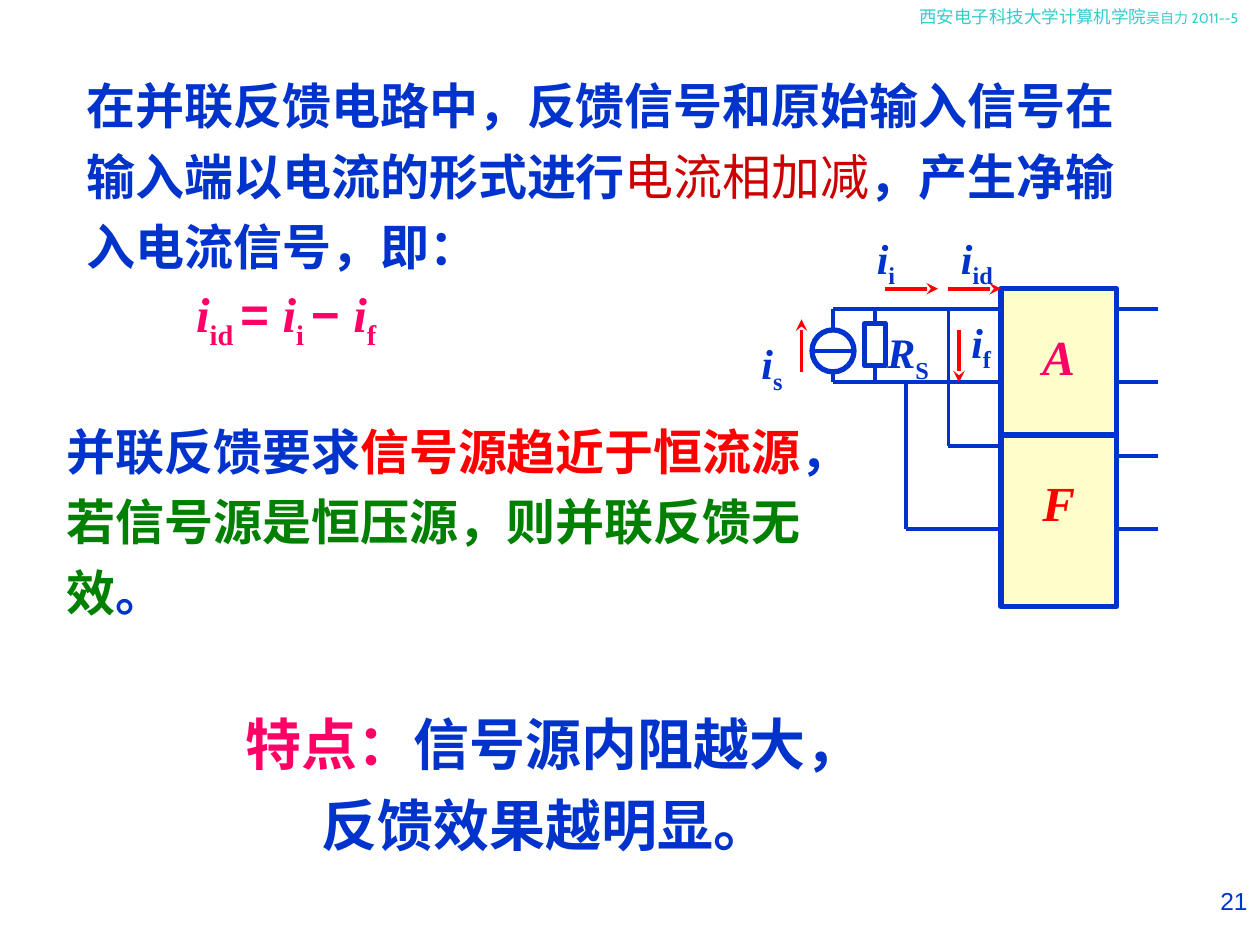
from dataclasses import dataclass

import lxml.etree
import pptx
import pptx.dml.color
import pptx.enum.shapes
import pptx.enum.text
import pptx.oxml.ns
import pptx.util

Pt = pptx.util.Pt
Align = pptx.enum.text.PP_ALIGN
Anchor = pptx.enum.text.MSO_ANCHOR
Kind = pptx.enum.shapes.MSO_SHAPE
qn = pptx.oxml.ns.qn

BLUE, RED, PINK, GREEN = "0033CC", "FF0000", "FF0066", "008000"
CREAM, WHITE = "FFFFCC", "FFFFFF"
ROMAN, SANS, HAN = "Times New Roman", "Arial", "Noto Sans CJK SC"


@dataclass
class Span:
    text: str
    size: float
    color: str = BLUE
    font: str = ROMAN
    bold: bool = True
    slant: bool = False
    sub: bool = False


@dataclass
class Box:
    left: float
    top: float
    width: float
    height: float


@dataclass
class Wire:
    x1: float
    y1: float
    x2: float
    y2: float


@dataclass
class Label:
    name: str
    sub: str
    left: float
    top: float
    width: float = 42


def rgb(code: str) -> pptx.dml.color.RGBColor:
    return pptx.dml.color.RGBColor.from_string(code)


def place(box: Box) -> tuple:
    return Pt(box.left), Pt(box.top), Pt(box.width), Pt(box.height)


def add_span(para, span: Span) -> None:
    run = para.add_run()
    run.text = span.text
    font = run.font
    font.size, font.name = Pt(span.size), span.font
    font.bold, font.italic = span.bold, span.slant
    font.color.rgb = rgb(span.color)
    props = run._r.get_or_add_rPr()
    props.find(qn("a:latin")).addnext(props.makeelement(qn("a:ea"), {"typeface": HAN}))
    if span.sub:
        props.set("baseline", "-25000")


def add_text(slide, box: Box, lines: list[list[Span]], align=Align.LEFT,
             space: float = 1.2, anchor=Anchor.TOP):
    frame = slide.shapes.add_textbox(*place(box)).text_frame
    frame.word_wrap = True
    frame.vertical_anchor = anchor
    for i, line in enumerate(lines):
        para = frame.paragraphs[0] if i == 0 else frame.add_paragraph()
        para.alignment, para.line_spacing = align, space
        for span in line:
            add_span(para, span)
    return frame


def add_shape(slide, kind, box: Box, fill: str):
    shape = slide.shapes.add_shape(kind, *place(box))
    shape.shadow.inherit = False
    shape.fill.solid()
    shape.fill.fore_color.rgb = rgb(fill)
    shape.line.color.rgb = rgb(BLUE)
    shape.line.width = Pt(3)
    return shape


def add_block(slide, top: float, span: Span) -> None:
    shape = add_shape(slide, Kind.RECTANGLE, Box(572, top, 66, 98), CREAM)
    frame = shape.text_frame
    frame.vertical_anchor = Anchor.TOP
    frame.margin_top = Pt(15)
    para = frame.paragraphs[0]
    para.alignment, para.line_spacing = Align.CENTER, 1.2
    add_span(para, span)


def add_wire(slide, wire: Wire, color: str = BLUE, arrow: bool = False) -> None:
    line = slide.shapes.add_connector(
        pptx.enum.shapes.MSO_CONNECTOR.STRAIGHT,
        Pt(wire.x1), Pt(wire.y1), Pt(wire.x2), Pt(wire.y2))
    line.line.color.rgb = rgb(color)
    line.line.width = Pt(2.25)
    if arrow:
        lxml.etree.SubElement(line.line._ln, qn("a:tailEnd"), type="stealth")
    lxml.etree.SubElement(line._element.spPr, qn("a:effectLst"))


def add_label(slide, label: Label) -> None:
    add_text(slide, Box(label.left, label.top, label.width, 47), [
        [Span(label.name, 24, slant=True), Span(label.sub, 24, sub=True)]])


def draw_words(slide) -> None:
    add_text(slide, Box(518.4, 0, 201.6, 29), [[
        Span("西安电子科技大学计算机学院", 10, "33CCCC", "Cabin", False),
        Span("吴自力 2011--5", 8, "33CCCC", "Cabin", False)]], space=1)
    add_text(slide, Box(42.5, 33, 623.5, 128), [[
        Span("在并联反馈电路中，反馈信号和原始输入信号在输入端以电流的形式进行", 28),
        Span("电流相加减", 28, "CC0000", SANS, False),
        Span("，产生净输入电流信号，即：", 28)]], anchor=Anchor.MIDDLE)
    add_text(slide, Box(31, 230.5, 448, 128), [[
        Span("并联反馈要求", 28, BLUE, SANS),
        Span("信号源趋近于恒流源", 28, RED, SANS),
        Span("，", 28, BLUE, SANS),
        Span("若信号源是恒压源，则并联反馈无效", 28, GREEN, SANS),
        Span("。", 28, BLUE, SANS)]])

    terms = [("i", "id "), ("= ", ""), ("i", "i "), ("− ", ""), ("i", "f")]
    sums = []
    for sign, sub in terms:
        if sub:
            sums += [Span(sign, 28, PINK, slant=True), Span(sub, 28, PINK, sub=True)]
        else:
            sums.append(Span(sign, 28, PINK, SANS))
    add_text(slide, Box(105, 151, 186, 53), [sums])

    frame = add_text(slide, Box(133, 394.5, 374.5, 99.5), [
        [Span("特点：", 32, PINK, HAN), Span("信号源内阻越大，", 32, BLUE, HAN)],
        [Span("反馈效果越明显。", 32, BLUE, HAN)]], align=Align.JUSTIFY)
    frame.paragraphs[1]._p.get_or_add_pPr().set("marL", str(Pt(43.5)))
    add_text(slide, Box(540, 502.5, 180, 37.5),
             [[Span("21", 14, BLUE, SANS, False)]], align=Align.RIGHT, space=1)


def draw_plan(slide) -> None:
    high, low, back, base = 176.5, 218.5, 255, 302.5
    add_block(slide, 165, Span("A", 28, PINK, slant=True))
    add_block(slide, 248.5, Span("F", 28, RED, slant=True))
    for y in (high, low, 260.5, base):
        add_wire(slide, Wire(638, y, 662, y))
    for y in (high, low):
        add_wire(slide, Wire(476, y, 572, y))
    for x in (476, 500):
        add_wire(slide, Wire(x, high, x, low))
    for x, top, foot in ((542, high, back), (518, low, base)):
        add_wire(slide, Wire(x, top, x, foot))
        add_wire(slide, Wire(572, foot, x, foot))

    add_shape(slide, Kind.OVAL, Box(464, 188.5, 24, 24), WHITE)
    add_wire(slide, Wire(464, 200.5, 488, 200.5))
    add_shape(slide, Kind.RECTANGLE, Box(494, 185, 12, 24), WHITE)

    for flow in (Wire(506, 165, 536, 165), Wire(542, 165, 572, 165),
                 Wire(458, 212.5, 458, 182.5), Wire(548, 188.5, 548, 218.5)):
        add_wire(slide, flow, RED, True)
    for label in (Label("i", "i", 494, 122.5), Label("i", "id", 542, 122.5),
                  Label("i", "f", 548, 170.5), Label("i", "s", 428, 183),
                  Label("R", "S", 500, 176.5, 48)):
        add_label(slide, label)


def main() -> None:
    deck = pptx.Presentation()
    deck.slide_width, deck.slide_height = Pt(720), Pt(540)
    slide = deck.slides.add_slide(deck.slide_layouts[6])
    draw_words(slide)
    draw_plan(slide)
    deck.save("out.pptx")


if __name__ == "__main__":
    main()
